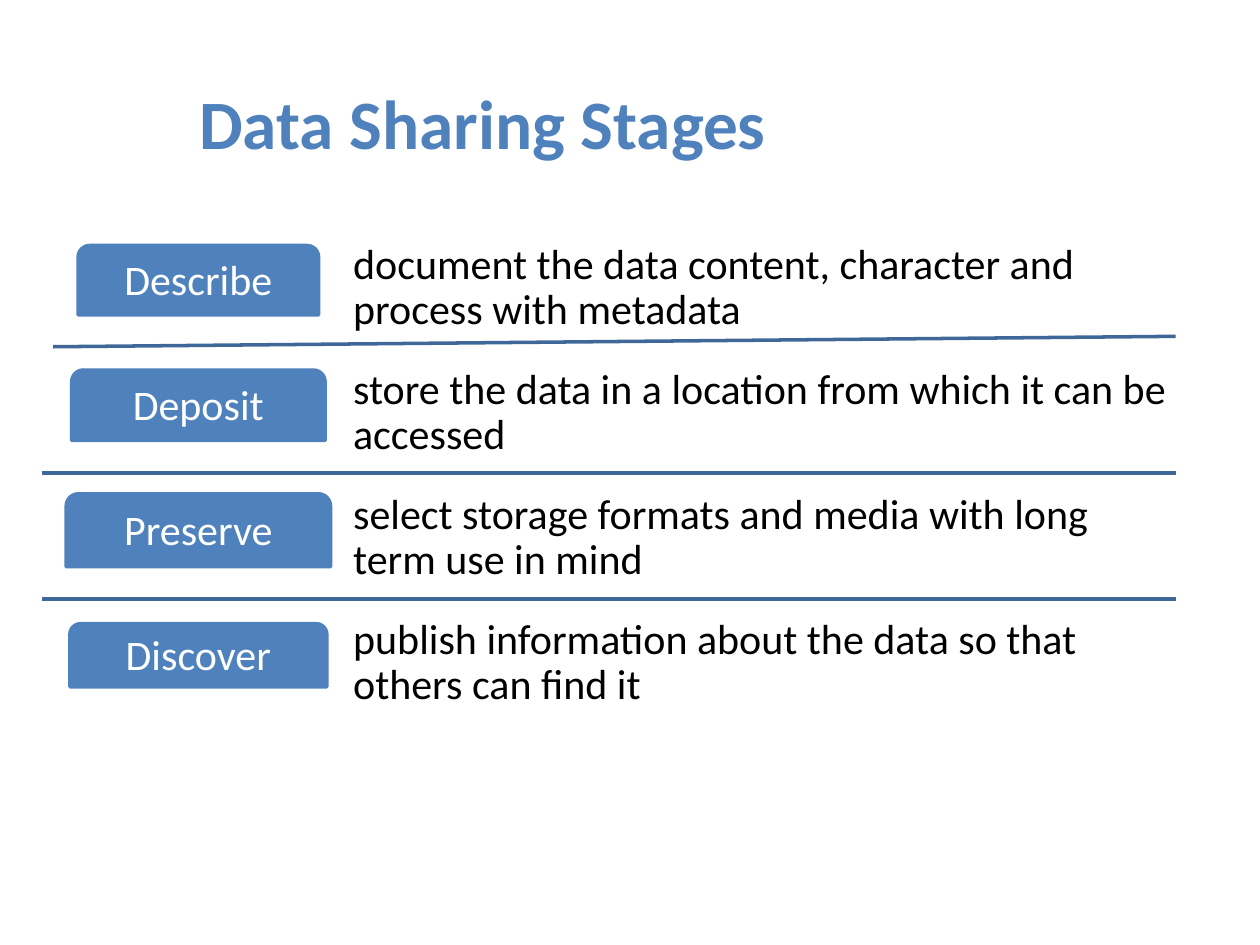
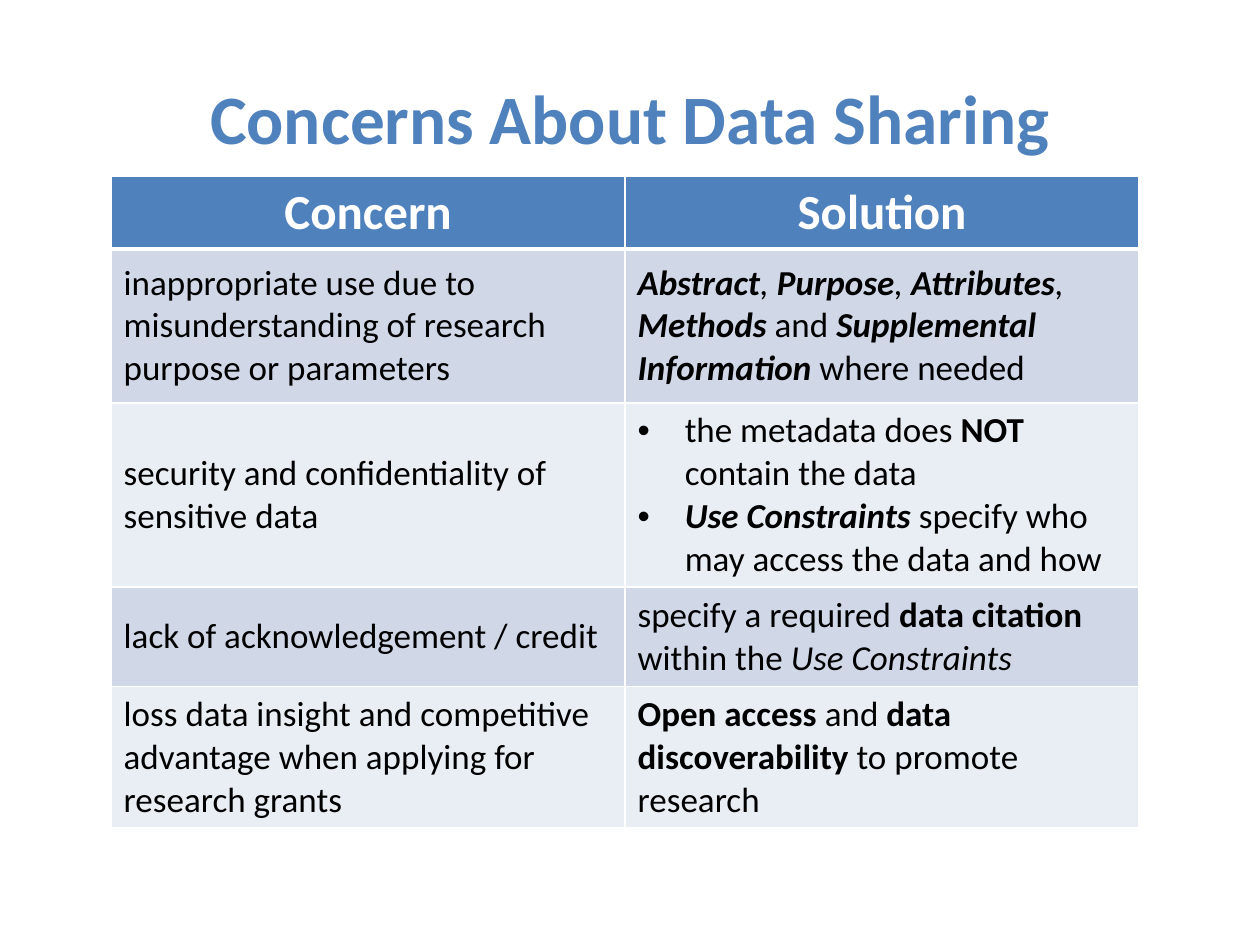
"""Build two slides on the stages of data sharing and the concerns about it."""
from pptx import Presentation
from pptx.dml.color import RGBColor
from pptx.enum import shapes, text
from pptx.oxml import parse_xml
from pptx.oxml import ns
from pptx.util import Cm, Pt

FONT = "Calibri"
BLUE, DARK_BLUE = "4F81BD", "3F6797"
WHITE, BLACK = "FFFFFF", "000000"
BANDS = ["D0D8E8", "E9EDF4"]
TITLE_ONLY = 5

ROW_PITCH = 2.52
FIRST_ROW_CENTRE = 5.65
LABEL_CENTRE = 4.0
DETAIL_LEFT, DETAIL_WIDTH, DETAIL_HEIGHT = 6.99, 16.92, 2.41

STAGES = [
    ("Describe", 4.85, 1.4, "document the data content, character and process with metadata"),
    ("Deposit", 5.11, 1.42, "store the data in a location from which it can be accessed"),
    ("Preserve", 5.33, 1.47, "select storage formats and media with long term use in mind"),
    ("Discover", 5.18, 1.27, "publish information about the data so that others can find it"),
]
DIVIDERS = [(0.84, 12.07, 12.07), (0.84, 9.53, 9.53), (1.07, 6.99, 6.78)]
DIVIDER_RIGHT = 23.7

HEADINGS = ["Concern", "Solution"]
COLUMN_WIDTH = 10.36
ROW_HEIGHTS = [1.45, 3.1, 3.63, 2.01, 2.79]
CONCERNS = [
    ("inappropriate use due to misunderstanding of research purpose or parameters",
     [[("Abstract", "bi"), (", ", "i"), ("Purpose", "bi"), (", ", "i"),
       ("Attributes", "bi"), (", ", "i"), ("Methods ", "bi"), ("and ", ""),
       ("Supplemental Information ", "bi"), ("where needed", "")]]),
    ("security and confidentiality of sensitive data",
     [[("the metadata does ", ""), ("NOT ", "b"), ("contain the data", "")],
      [("Use Constraints ", "bi"), ("specify who may access the data and how", "")]]),
    ("lack of acknowledgement / credit",
     [[("specify a required ", ""), ("data citation ", "b"), ("within the ", ""),
       ("Use Constraints", "i")]]),
    ("loss data insight and competitive advantage when applying for research grants",
     [[("Open access ", "b"), ("and ", ""), ("data discoverability ", "b"),
       ("to promote research", "")]]),
]


def rgb(value):
    """Turn a hex string into a colour."""
    return RGBColor.from_string(value)


def style_span(span, size, colour, style=""):
    """Format one run; the style holds b for bold and i for italic."""
    font = span.font
    font.name, font.size = FONT, Pt(size)
    font.color.rgb = rgb(colour)
    font.bold, font.italic = "b" in style, "i" in style


def write(frame, words, size, colour, align, style=""):
    """Fill a text frame with one uniformly formatted paragraph."""
    frame.text = words
    para = frame.paragraphs[0]
    para.alignment = align
    style_span(para.runs[0], size, colour, style)
    return para


def add_page(deck, title, left, top):
    """Add a slide with its blue title."""
    page = deck.slides.add_slide(deck.slide_layouts[TITLE_ONLY])
    box = page.shapes.title
    box.left, box.top = Cm(left), Cm(top)
    box.width, box.height = deck.slide_width, Cm(1.96)
    box.text_frame.vertical_anchor = text.MSO_ANCHOR.MIDDLE
    write(box.text_frame, title, 39.6, BLUE, text.PP_ALIGN.CENTER, "b")
    return page


def write_stage(box, words, colour, align, anchor):
    """Write stage text with narrow margins and tight lines."""
    frame = box.text_frame
    frame.word_wrap = True
    frame.vertical_anchor = anchor
    frame.margin_left = frame.margin_right = Cm(0.13)
    frame.margin_top = frame.margin_bottom = Cm(0.13)
    write(frame, words, 24, colour, align).line_spacing = 0.9


def add_label(page, name, centre, width, height):
    """Add a stage tab with rounded top corners."""
    label = page.shapes.add_shape(
        shapes.MSO_SHAPE.ROUND_2_SAME_RECTANGLE, Cm(LABEL_CENTRE - width / 2),
        Cm(centre - height / 2), Cm(width), Cm(height))
    label.shadow.inherit = False
    label.fill.solid()
    label.fill.fore_color.rgb = rgb(BLUE)
    label.line.color.rgb = rgb(BLUE)
    label.line.width = Pt(2)
    write_stage(label, name, WHITE, text.PP_ALIGN.CENTER, text.MSO_ANCHOR.MIDDLE)


def add_detail(page, words, centre):
    """Add the explanation beside a stage tab."""
    box = page.shapes.add_textbox(
        Cm(DETAIL_LEFT), Cm(centre - DETAIL_HEIGHT / 2), Cm(DETAIL_WIDTH), Cm(DETAIL_HEIGHT))
    write_stage(box, words, BLACK, text.PP_ALIGN.LEFT, text.MSO_ANCHOR.BOTTOM)


def add_divider(page, left, start, end):
    """Draw a line between two stages."""
    line = page.shapes.add_connector(
        shapes.MSO_CONNECTOR.STRAIGHT, Cm(left), Cm(start), Cm(DIVIDER_RIGHT), Cm(end))
    line.line.color.rgb = rgb(DARK_BLUE)
    line.line.width = Pt(2)
    line._element.spPr.append(parse_xml(f"<a:effectLst {ns.nsdecls('a')}/>"))


def style_cell(cell, fill, top=1, bottom=1):
    """Fill a cell and give it white borders."""
    cell.fill.solid()
    cell.fill.fore_color.rgb = rgb(fill)
    borders = [("L", 1), ("R", 1), ("T", top), ("B", bottom)]
    for index, (side, width) in enumerate(borders):
        border = parse_xml(
            f'<a:ln{side} {ns.nsdecls("a")} w="{Pt(width)}"><a:solidFill>'
            f'<a:srgbClr val="{WHITE}"/></a:solidFill></a:ln{side}>')
        cell._tc.get_or_add_tcPr().insert(index, border)


def add_bullet(para):
    """Give a paragraph a hanging bullet."""
    properties = para._p.get_or_add_pPr()
    properties.set("marL", str(Cm(0.95)))
    properties.set("indent", str(-Cm(0.95)))
    properties.append(parse_xml(f'<a:buFont {ns.nsdecls("a")} typeface="Arial"/>'))
    properties.append(parse_xml(f'<a:buChar {ns.nsdecls("a")} char="•"/>'))


def write_solution(frame, lines):
    """Write mixed runs, with bullets when there are several lines."""
    for index, pieces in enumerate(lines):
        para = frame.add_paragraph() if index else frame.paragraphs[0]
        if len(lines) > 1:
            add_bullet(para)
        for words, style in pieces:
            span = para.add_run()
            span.text = words
            style_span(span, 20, BLACK, style)


def add_concerns(page):
    """Add the table of concerns and their solutions."""
    table = page.shapes.add_table(
        len(ROW_HEIGHTS), len(HEADINGS), Cm(2.24), Cm(3.56),
        Cm(COLUMN_WIDTH * len(HEADINGS)), Cm(sum(ROW_HEIGHTS))).table
    for row, height in zip(table.rows, ROW_HEIGHTS):
        row.height = Cm(height)
    for cell, heading in zip(table.rows[0].cells, HEADINGS):
        style_cell(cell, BLUE, bottom=3)
        write(cell.text_frame, heading, 28, WHITE, text.PP_ALIGN.CENTER, "b")
    for index, (concern, solution) in enumerate(CONCERNS):
        cells = list(table.rows[index + 1].cells)
        for cell in cells:
            style_cell(cell, BANDS[index % 2], top=1 if index else 3)
            cell.vertical_anchor = text.MSO_ANCHOR.MIDDLE
        write(cells[0].text_frame, concern, 20, BLACK, text.PP_ALIGN.LEFT)
        write_solution(cells[1].text_frame, solution)


def main():
    """Build and save the deck."""
    deck = Presentation()
    deck.slide_width, deck.slide_height = Cm(25.4), Cm(19.05)

    page = add_page(deck, "Data Sharing Stages", -2.97, 1.47)
    for divider in DIVIDERS:
        add_divider(page, *divider)
    for index, (name, width, height, detail) in enumerate(STAGES):
        centre = FIRST_ROW_CENTRE + index * ROW_PITCH
        add_detail(page, detail, centre)
        add_label(page, name, centre, width, height)

    page = add_page(deck, "Concerns About Data Sharing", 0, 1.37)
    add_concerns(page)
    deck.save("out.pptx")


if __name__ == "__main__":
    main()
